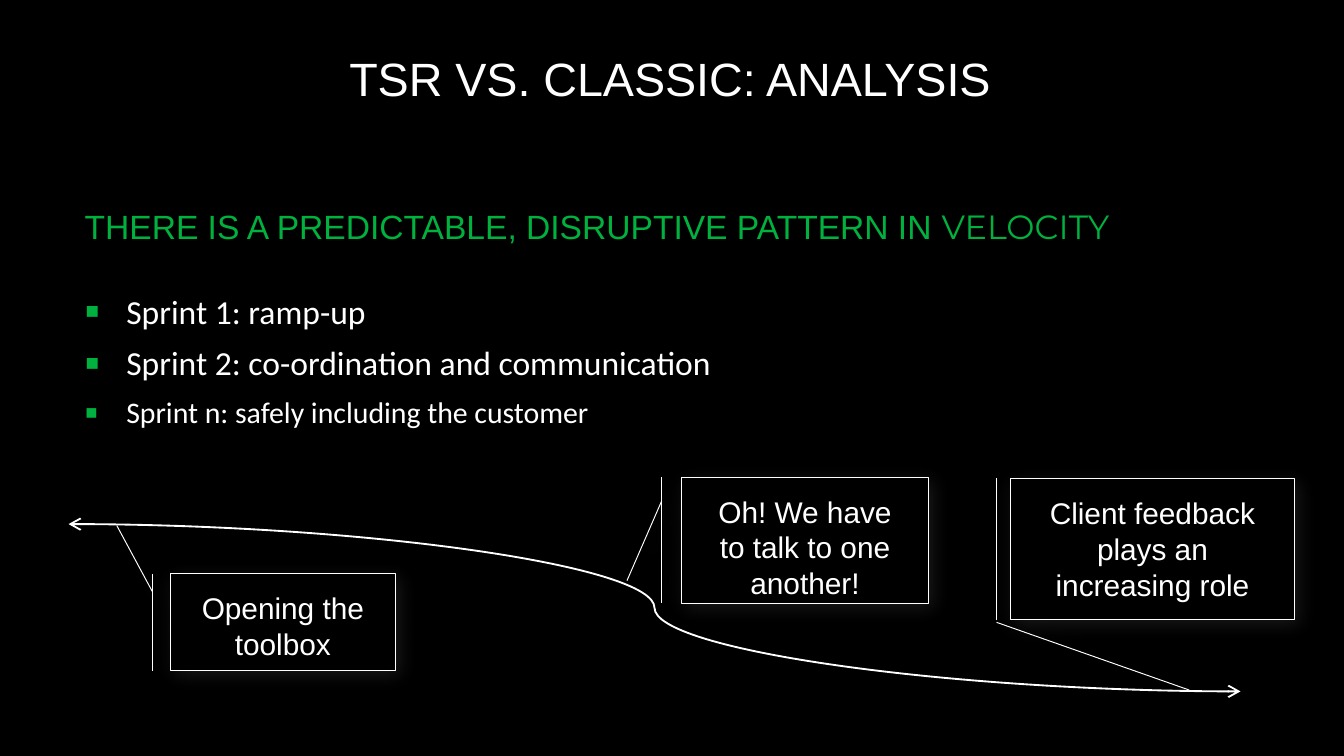
"""Build the slide on velocity patterns in TSR and classic projects."""
from lxml import etree
from pptx import Presentation
from pptx.dml.color import RGBColor
from pptx.enum.shapes import MSO_CONNECTOR, MSO_SHAPE
from pptx.enum.text import MSO_ANCHOR, MSO_AUTO_SIZE, PP_ALIGN
from pptx.oxml.ns import qn
from pptx.util import Inches, Pt

CURVE = MSO_CONNECTOR.CURVE
CALLOUT = MSO_SHAPE.LINE_CALLOUT_1_BORDER_AND_ACCENT_BAR
TOP = MSO_ANCHOR.TOP
LEFT, CENTER = PP_ALIGN.LEFT, PP_ALIGN.CENTER
FIXED = MSO_AUTO_SIZE.NONE

COLORS = {"black": "000000", "white": "FFFFFF", "green": "00B13F", "shadow": "3D3D3D"}
TITLE_ONLY = 5
CELL = Inches(0.1)
COLUMNS, ROWS = 100, 56.25
BULLETS = [
    ("Sprint 1: ramp-up", 18, 24),
    ("Sprint 2: co-ordination and communication", 18, 6),
    ("Sprint n: safely including the customer", 16, 6),
]
CALLOUTS = [
    ("Opening the toolbox", (12.7, 42.7, 16.7, 7.2), (0.19, -0.08, -0.5, -0.24)),
    ("Oh! We have to talk to one another!", (50.7, 35.5, 18.4, 9.4), (0.19, -0.08, 0.82, -0.22)),
    ("Client feedback plays an increasing role", (75.2, 35.6, 21.1, 10.5), (1.02, -0.05, 1.5, 0.63)),
]


def color(name):
    """Return the named colour."""
    return RGBColor.from_string(COLORS[name])


def cells(*counts):
    """Convert counts of grid cells to lengths."""
    return [round(count * CELL) for count in counts]


def add_xml(parent, tag, **attributes):
    """Append a DrawingML element and return it."""
    return etree.SubElement(parent, qn(tag), attributes)


def write(para, text, font="Arial", size=16, tint="white", align=LEFT, before=0, spacing=1.0):
    """Add a formatted span to a paragraph."""
    para.alignment = align
    para.space_before = Pt(before)
    para.line_spacing = spacing
    span = para.add_run()
    span.text = text
    span.font.name = font
    span.font.size = Pt(size)
    span.font.color.rgb = color(tint)


def prepare_frame(shape, side=0, end=0):
    """Set wrapping, anchor and insets, and return the text frame."""
    frame = shape.text_frame
    frame.word_wrap = True
    frame.auto_size = FIXED
    frame.vertical_anchor = TOP
    frame.margin_left = frame.margin_right = Inches(side)
    frame.margin_top = frame.margin_bottom = Inches(end)
    return frame


def add_bullet(para):
    """Give a paragraph a green square bullet and a hanging indent."""
    properties = para._p.get_or_add_pPr()
    indent = Inches(0.31)
    properties.set("marL", str(indent))
    properties.set("indent", str(-indent))
    add_xml(add_xml(properties, "a:buClr"), "a:srgbClr", val=COLORS["green"])
    add_xml(properties, "a:buSzPct", val="130000")
    add_xml(properties, "a:buFont", typeface="Arial")
    add_xml(properties, "a:buChar", char="▪")


def place_title(page, box):
    """Move the title placeholder into the box and fill it."""
    title = page.shapes.title
    title.left, title.top, title.width, title.height = cells(*box)
    frame = prepare_frame(title)
    write(frame.paragraphs[0], "TSR VS. CLASSIC: ANALYSIS", size=25, align=CENTER, spacing=0.8)


def place_body(page, box):
    """Write the heading and the sprint bullets in the box."""
    frame = prepare_frame(page.shapes.add_textbox(*cells(*box)))
    heading = frame.paragraphs[0]
    write(heading, "THERE IS A PREDICTABLE, DISRUPTIVE PATTERN IN ", size=18, tint="green", before=6)
    write(heading, "VELOCITY", font="Montserrat", size=18, tint="green", before=6)
    for text, size, before in BULLETS:
        para = frame.add_paragraph()
        write(para, text, font="Calibri", size=size, before=before)
        add_bullet(para)


def place_curve(page, box):
    """Draw the velocity curve across the box with an arrow at each end."""
    left, top, width, height = box
    curve = page.shapes.add_connector(CURVE, *cells(left, top, left + width, top + height))
    curve.line.color.rgb = color("white")
    curve.line.width = Pt(1)
    line = curve.line._get_or_add_ln()
    for end in ("a:headEnd", "a:tailEnd"):
        add_xml(line, end, type="arrow")
    add_xml(curve._element.spPr, "a:effectLst")


def place_callout(page, box, text, pointer):
    """Draw a bordered callout with an accent bar, a pointer and a soft shadow."""
    callout = page.shapes.add_shape(CALLOUT, *cells(*box))
    for index, share in enumerate(pointer):
        callout.adjustments[index] = share
    callout.fill.solid()
    callout.fill.fore_color.rgb = color("black")
    callout.line.color.rgb = color("white")
    callout.line.width = Pt(0.5)
    callout.shadow.inherit = False
    effects = callout._element.spPr.find(qn("a:effectLst"))
    shadow = add_xml(effects, "a:outerShdw", blurRad=str(Pt(10)), dist=str(Pt(3)), dir="2700000")
    tint = add_xml(shadow, "a:srgbClr", val=COLORS["shadow"])
    add_xml(tint, "a:alpha", val="40000")
    frame = prepare_frame(callout, side=0.2, end=0.12)
    write(frame.paragraphs[0], text, align=CENTER)


def main():
    """Build and save the deck."""
    deck = Presentation()
    deck.slide_width, deck.slide_height = cells(COLUMNS, ROWS)
    page = deck.slides.add_slide(deck.slide_layouts[TITLE_ONLY])
    page.background.fill.solid()
    page.background.fill.fore_color.rgb = color("black")
    place_title(page, (6.3, 4.5, 87.1, 2.9))
    place_body(page, (6.3, 15.3, 87.1, 33.3))
    place_curve(page, (5.1, 39, 87.2, 12.45))
    for text, box, pointer in CALLOUTS:
        place_callout(page, box, text, pointer)
    deck.save("out.pptx")


if __name__ == "__main__":
    main()
